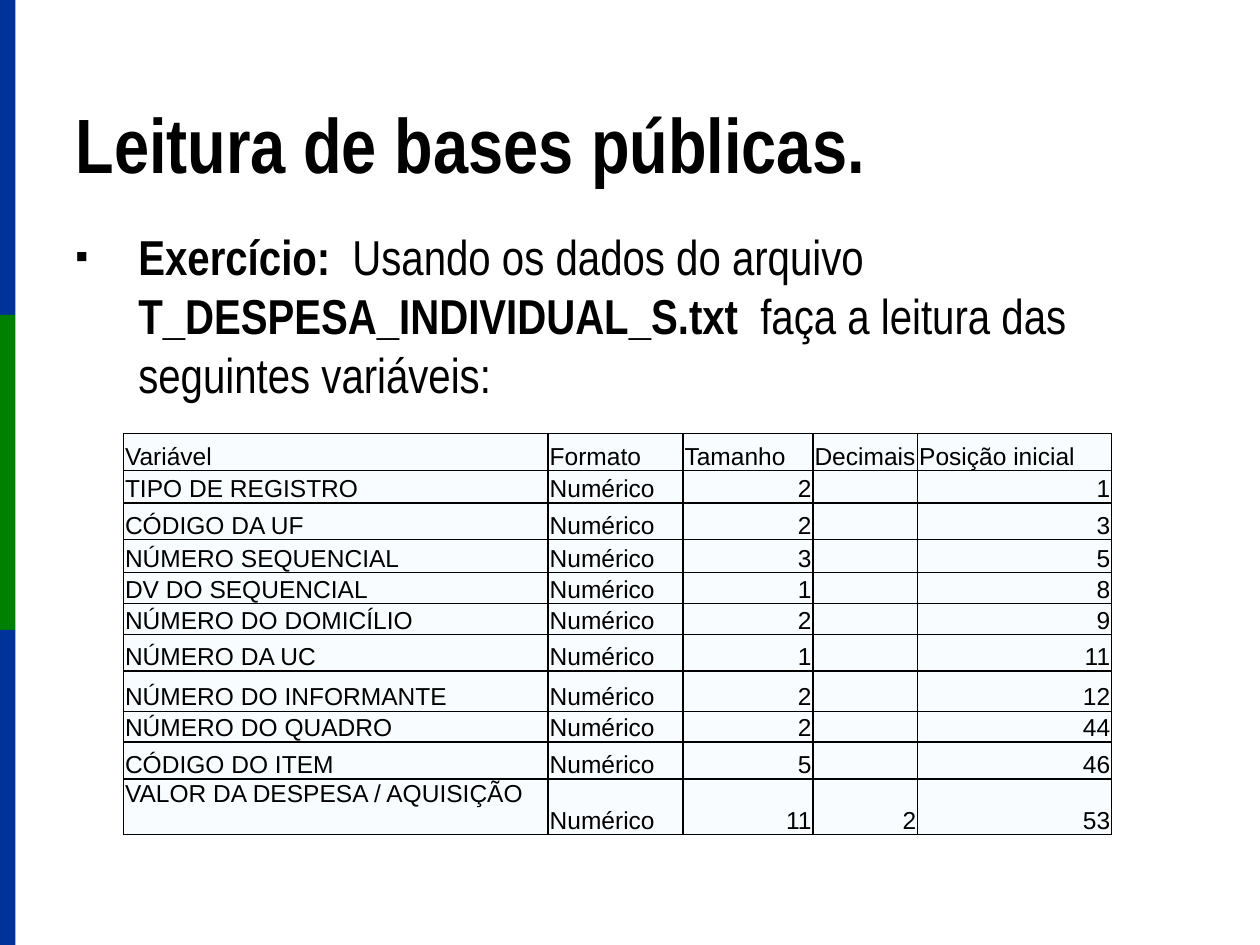
from lxml.etree import SubElement
from pptx import Presentation
from pptx.dml.color import RGBColor
from pptx.enum.shapes import MSO_SHAPE as Shape
from pptx.enum.text import MSO_ANCHOR as Anchor, PP_ALIGN as Align
from pptx.oxml.ns import qn
from pptx.util import Cm, Pt

COLORS = {"blue": "003399", "green": "008000", "text": "000000",
          "cell": "F8FCFE", "border": "000000"}

TITLE = "Leitura de bases públicas."
EXERCISE = [  # (text, bold)
    ("Exercício: ", True),
    (" Usando os dados do arquivo ", False),
    ("T_DESPESA_INDIVIDUAL_S.txt ", True),
    (" faça a leitura das seguintes variáveis:", False),
]
HEADER = ("Variável", "Formato", "Tamanho", "Decimais", "Posição inicial")
VARIABLES = [  # (name, size, decimals, start position, row height in cm)
    ("TIPO DE REGISTRO", "2", "", "1", 0.66),
    ("CÓDIGO DA UF", "2", "", "3", 0.74),
    ("NÚMERO SEQUENCIAL", "3", "", "5", 0.66),
    ("DV DO SEQUENCIAL", "1", "", "8", 0.61),
    ("NÚMERO DO DOMICÍLIO", "2", "", "9", 0.58),
    ("NÚMERO DA UC", "1", "", "11", 0.74),
    ("NÚMERO DO INFORMANTE", "2", "", "12", 0.81),
    ("NÚMERO DO QUADRO", "2", "", "44", 0.61),
    ("CÓDIGO DO ITEM", "5", "", "46", 0.74),
    ("VALOR DA DESPESA / AQUISIÇÃO", "11", "2", "53", 1.12),
]
HEADER_HEIGHT = 0.74
COLUMN_WIDTHS = (8.56, 2.72, 2.62, 2.11, 3.91)


def rgb(name):
    return RGBColor.from_string(COLORS[name])


def set_font(paragraph, name, size, bold=None):
    font = paragraph.font
    font.name, font.size, font.bold = name, Pt(size), bold
    font.color.rgb = rgb("text")


def add_bullet(paragraph, indent):
    props = paragraph._p.get_or_add_pPr()
    props.set("marL", str(indent))
    props.set("indent", str(-indent))
    bullet = [("buClr", {}), ("buSzPct", {"val": "75000"}),
              ("buFont", {"typeface": "Arial"}), ("buChar", {"char": "▪"})]
    # Bullet settings come before the default run properties
    default_font = props.find(qn("a:defRPr"))
    for tag, attributes in bullet:
        part = SubElement(props, qn("a:" + tag), attributes)
        if tag == "buClr":
            SubElement(part, qn("a:srgbClr"), val=COLORS["text"])
        if default_font is not None:
            default_font.addprevious(part)


def add_borders(cell):
    props = cell._tc.get_or_add_tcPr()
    for position, side in enumerate(("lnL", "lnR", "lnT", "lnB")):
        line = props.makeelement(qn("a:" + side), {"w": str(Pt(1))})
        fill = SubElement(line, qn("a:solidFill"))
        SubElement(fill, qn("a:srgbClr"), val=COLORS["border"])
        props.insert(position, line)


def fill_cell(cell, text, anchor):
    cell.margin_left = cell.margin_right = cell.margin_top = Cm(0.03)
    cell.margin_bottom = 0
    cell.vertical_anchor = anchor
    cell.fill.solid()
    cell.fill.fore_color.rgb = rgb("cell")
    add_borders(cell)
    paragraph = cell.text_frame.paragraphs[0]
    paragraph.alignment = Align.RIGHT if text.isdigit() else Align.LEFT
    set_font(paragraph, "Arial", 14)
    if text:
        paragraph.add_run().text = text
    else:  # keeps an empty cell from stretching its row
        SubElement(paragraph._p, qn("a:endParaRPr"), sz="1400")


def main():
    deck = Presentation()
    deck.slide_width, deck.slide_height = Cm(25.4), Cm(19.05)
    slide = deck.slides.add_slide(deck.slide_layouts[5])

    # Side stripe in three equal bands
    band_height = deck.slide_height // 3
    for index, color in enumerate(("blue", "green", "blue")):
        band = slide.shapes.add_shape(
            Shape.RECTANGLE, 0, index * band_height, Cm(0.31), band_height)
        band.shadow.inherit = False
        band.fill.solid()
        band.fill.fore_color.rgb = rgb(color)
        band.line.fill.background()

    # Title
    title = slide.shapes.title
    title.left, title.top = Cm(1.27), Cm(0.76)
    title.width, title.height = Cm(18.24), Cm(3.18)
    title.text_frame.text = TITLE
    title.text_frame.vertical_anchor = Anchor.BOTTOM
    heading = title.text_frame.paragraphs[0]
    heading.alignment = Align.LEFT
    set_font(heading, "Arial Narrow", 44, True)

    # Exercise statement
    statement = slide.shapes.add_textbox(Cm(1.27), Cm(4.45), Cm(22.86), Cm(12.57))
    statement.text_frame.word_wrap = True
    exercise = statement.text_frame.paragraphs[0]
    exercise.space_before = Pt(5.6)
    set_font(exercise, "Arial Narrow", 28)
    add_bullet(exercise, Cm(1.27))
    for text, bold in EXERCISE:
        run = exercise.add_run()
        run.text = text
        run.font.bold = bold

    # Table of variables
    rows = [HEADER] + [(name, "Numérico", size, decimals, start)
                       for name, size, decimals, start, _ in VARIABLES]
    heights = [HEADER_HEIGHT] + [variable[-1] for variable in VARIABLES]
    table = slide.shapes.add_table(
        len(rows), len(HEADER), Cm(2.49), Cm(8.74),
        Cm(sum(COLUMN_WIDTHS)), Cm(sum(heights))).table
    table.first_row = table.horz_banding = False
    for column, width in zip(table.columns, COLUMN_WIDTHS):
        column.width = Cm(width)
    for r, (values, height) in enumerate(zip(rows, heights)):
        table.rows[r].height = Cm(height)
        for c, value in enumerate(values):
            # The tall last row keeps its name at the top
            at_top = c == 0 and r == len(rows) - 1
            fill_cell(table.cell(r, c), value,
                      Anchor.TOP if at_top else Anchor.BOTTOM)

    deck.save("out.pptx")


if __name__ == "__main__":
    main()
